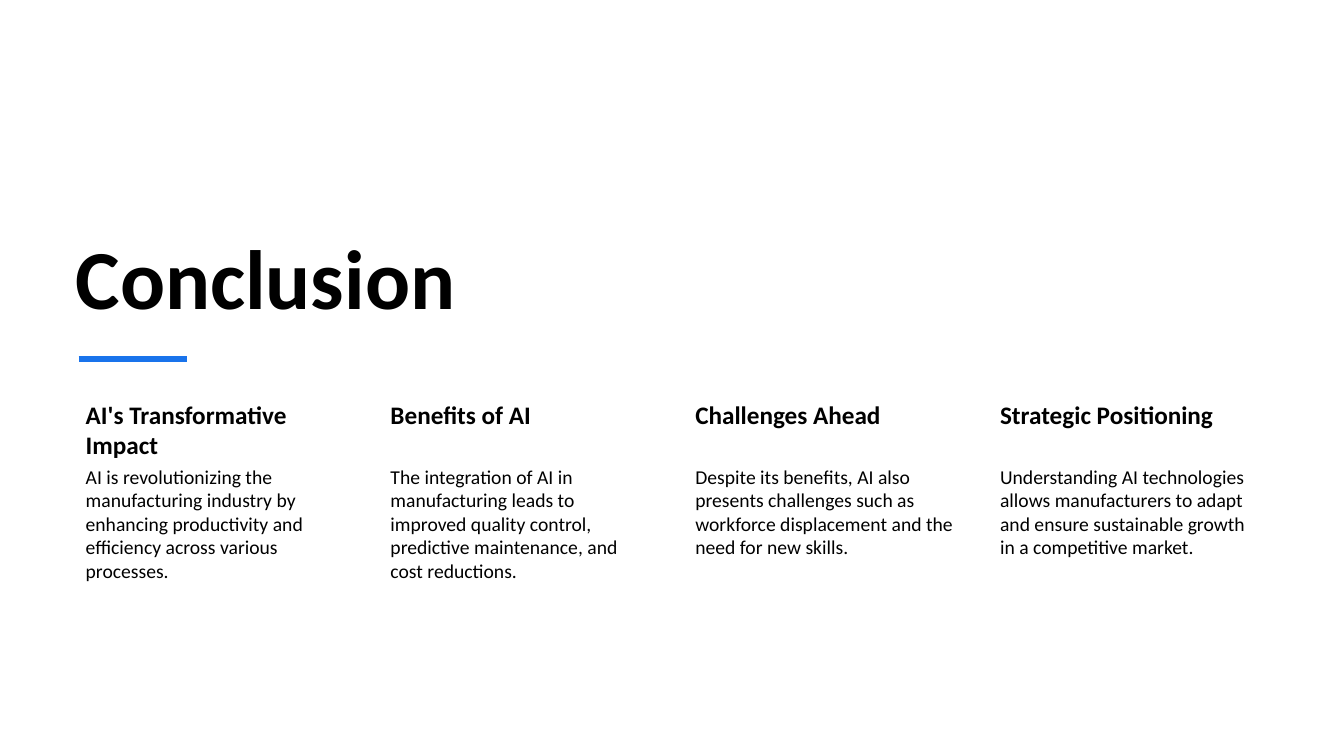
"""Build the conclusion slide: a title, an accent rule and four takeaway columns."""
from dataclasses import dataclass

import pptx
import pptx.dml.color
import pptx.enum.shapes
import pptx.enum.text
import pptx.oxml
import pptx.oxml.ns
import pptx.util


@dataclass(frozen=True)
class Theme:
    font: str = "Calibri"
    text: str = "000000"
    accent: str = "1973EB"
    background: str = "FFFFFF"
    title_size: int = 60
    heading_size: int = 18
    body_size: int = 14
    rule_width: float = 4.5


@dataclass(frozen=True)
class Grid:
    left: float = 0.7
    pitch: float = 3.023
    column_width: float = 2.75
    heading_top: float = 3.93
    heading_height: float = 0.66
    body_height: float = 2.08

    def x(self, column: int) -> float:
        return self.left + column * self.pitch

    @property
    def body_top(self) -> float:
        return self.heading_top + self.heading_height


@dataclass(frozen=True)
class Takeaway:
    heading: str
    body: str


THEME = Theme()
GRID = Grid()
TAKEAWAYS = (
    Takeaway("AI's Transformative Impact",
             "AI is revolutionizing the manufacturing industry by enhancing "
             "productivity and efficiency across various processes."),
    Takeaway("Benefits of AI",
             "The integration of AI in manufacturing leads to improved quality "
             "control, predictive maintenance, and cost reductions."),
    Takeaway("Challenges Ahead",
             "Despite its benefits, AI also presents challenges such as workforce "
             "displacement and the need for new skills."),
    Takeaway("Strategic Positioning",
             "Understanding AI technologies allows manufacturers to adapt and "
             "ensure sustainable growth in a competitive market."),
)


def inches(*values: float) -> list[pptx.util.Length]:
    return [pptx.util.Inches(v) for v in values]


def rgb(value: str) -> pptx.dml.color.RGBColor:
    return pptx.dml.color.RGBColor.from_string(value)


def write(sp, text: str, *, size: float, bold: bool = False, left: float = 0.15,
          inset: float = 0.02, anchor=pptx.enum.text.MSO_ANCHOR.TOP) -> None:
    tf = sp.text_frame
    tf.word_wrap = True
    tf.auto_size = pptx.enum.text.MSO_AUTO_SIZE.NONE
    tf.vertical_anchor = anchor
    tf.margin_left = pptx.util.Inches(left)
    tf.margin_top = tf.margin_right = tf.margin_bottom = pptx.util.Inches(inset)
    p = tf.paragraphs[0]
    p.alignment = pptx.enum.text.PP_ALIGN.LEFT
    r = p.add_run()
    r.text = text
    r.font.name = THEME.font
    r.font.size = pptx.util.Pt(size)
    r.font.bold = bold
    r.font.color.rgb = rgb(THEME.text)


def add_title(s, text: str) -> None:
    sp = s.shapes.title
    sp.left, sp.top, sp.width, sp.height = inches(GRID.left, 1.72, 8.93, 1.54)
    write(sp, text, size=THEME.title_size, bold=True, left=0.05,
          anchor=pptx.enum.text.MSO_ANCHOR.BOTTOM)


def add_takeaway(group, column: int, item: Takeaway) -> None:
    x, width = GRID.x(column), GRID.column_width
    heading = group.shapes.add_textbox(
        *inches(x, GRID.heading_top, width, GRID.heading_height))
    write(heading, item.heading, size=THEME.heading_size, bold=True, inset=0.03)
    body = group.shapes.add_textbox(
        *inches(x, GRID.body_top, width, GRID.body_height))
    write(body, item.body, size=THEME.body_size)


def add_rule(s) -> None:
    rule = s.shapes.add_connector(
        pptx.enum.shapes.MSO_CONNECTOR.STRAIGHT, *inches(0.78, 3.56, 1.85, 3.56))
    rule.line.color.rgb = rgb(THEME.accent)
    rule.line.width = pptx.util.Pt(THEME.rule_width)
    properties = rule._element.find(pptx.oxml.ns.qn("p:spPr"))
    properties.append(pptx.oxml.parse_xml(
        f'<a:effectLst {pptx.oxml.ns.nsdecls("a")}/>'))


def main() -> None:
    prs = pptx.Presentation()
    prs.slide_width, prs.slide_height = inches(13.33, 7.5)
    s = prs.slides.add_slide(prs.slide_layouts.get_by_name("Title Only"))
    s.background.fill.solid()
    s.background.fill.fore_color.rgb = rgb(THEME.background)
    add_title(s, "Conclusion")
    group = s.shapes.add_group_shape()
    for column, item in enumerate(TAKEAWAYS):
        add_takeaway(group, column, item)
    add_rule(s)
    prs.save("out.pptx")


if __name__ == "__main__":
    main()
